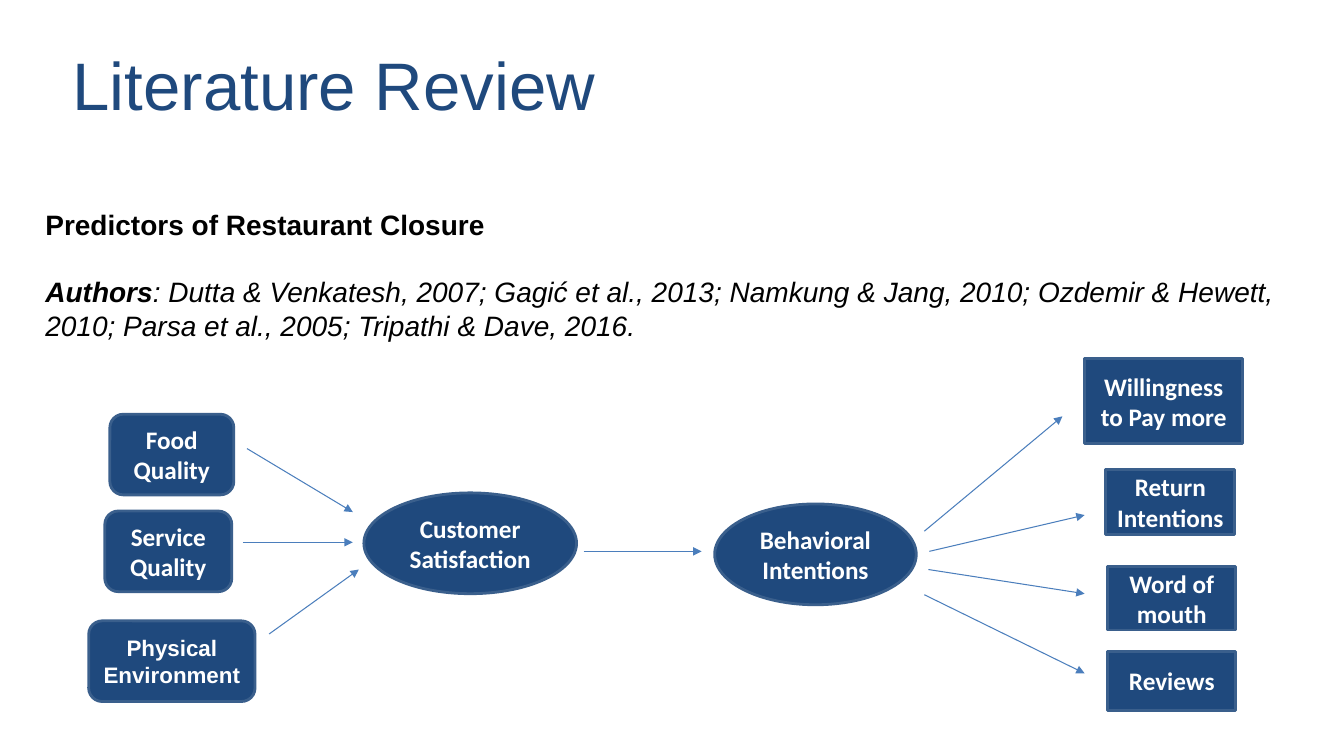
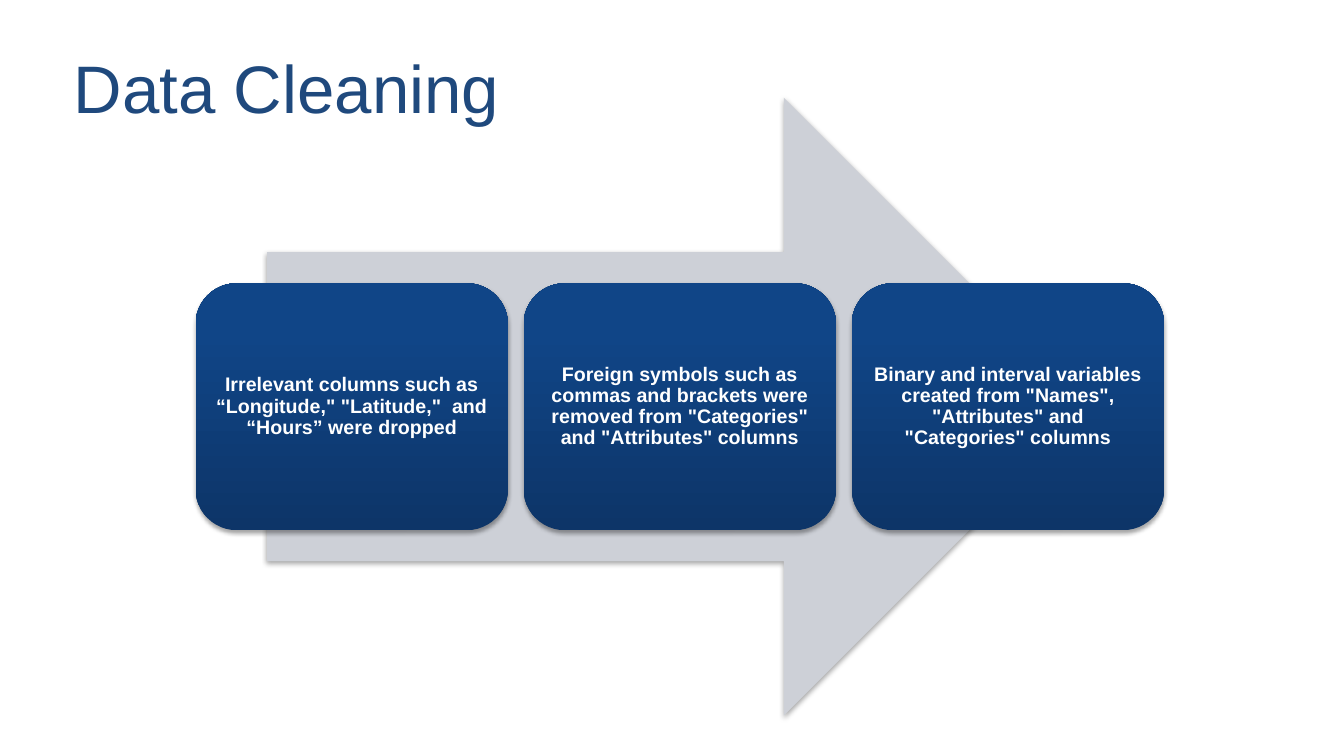
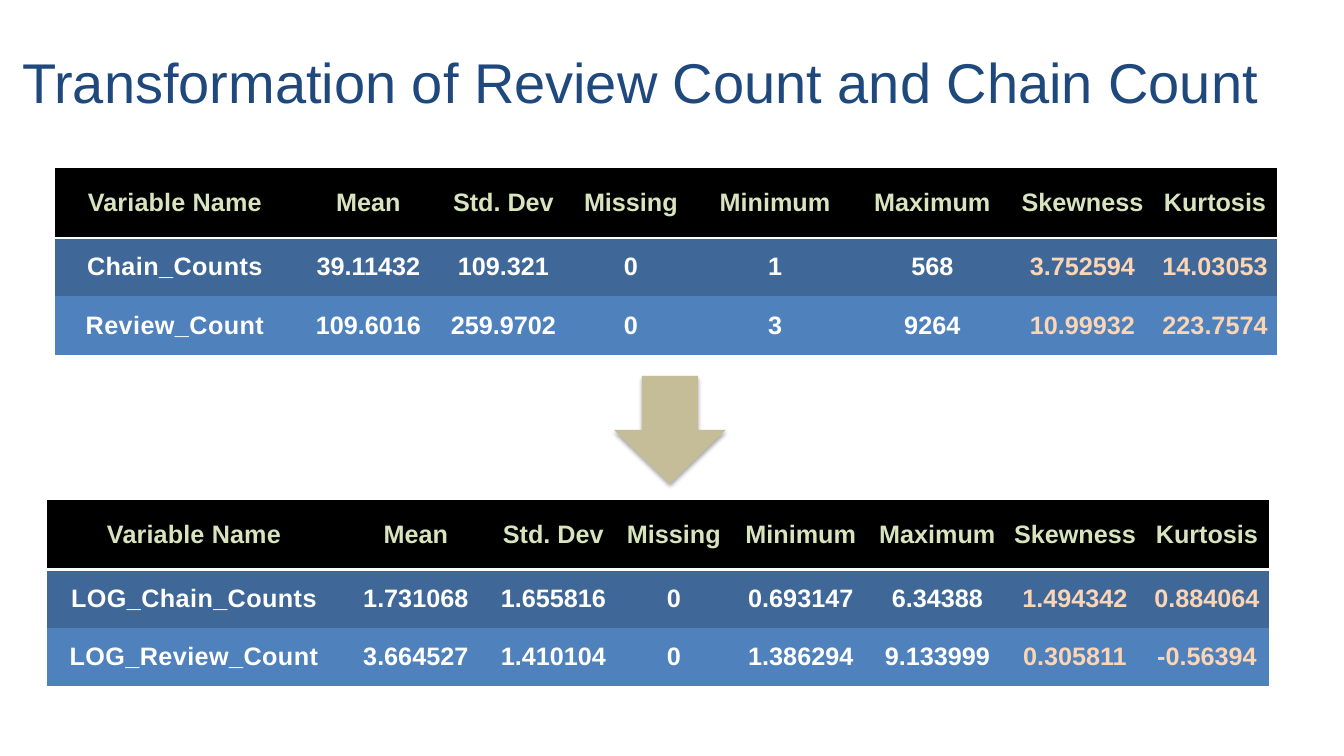
from lxml import etree
from pptx import Presentation
from pptx import util as u
from pptx.dml.color import RGBColor
from pptx.enum import shapes, text
from pptx.oxml import parse_xml
from pptx.oxml.ns import nsdecls, qn

NAVY = RGBColor(0x1F, 0x49, 0x7D)
NAVY_EDGE = RGBColor(0x3A, 0x5F, 0x8C)
ARROW_BLUE = RGBColor(0x4B, 0x7E, 0xBC)
STEP_DARK = RGBColor(0x0D, 0x35, 0x68)
STEP_LIGHT = RGBColor(0x10, 0x45, 0x87)
PALE_GREY = RGBColor(0xCD, 0xD0, 0xD7)
TAN = RGBColor(0xC4, 0xBD, 0x97)
PALE_GREEN = RGBColor(0xD7, 0xE4, 0xBD)
PEACH = RGBColor(0xFC, 0xD5, 0xB5)
ROW_BLUES = (RGBColor(0x3F, 0x67, 0x97), RGBColor(0x4F, 0x81, 0xBD))
WHITE = RGBColor(0xFF, 0xFF, 0xFF)
BLACK = RGBColor(0, 0, 0)

PLAIN_TABLE = "{2D5ABB26-0587-4C30-8999-92F81FD0307C}"
CENTER = text.PP_ALIGN.CENTER
MIDDLE = text.MSO_ANCHOR.MIDDLE
SHAPE = shapes.MSO_SHAPE

HEADINGS = ("Variable Name", "Mean", "Std. Dev", "Missing",
            "Minimum", "Maximum", "Skewness", "Kurtosis")
SKEWNESS_COLUMN = HEADINGS.index("Skewness")


def grid(cells):
    """Length of a number of grid cells, each a tenth of an inch."""
    return u.Inches(cells / 10)


def apply_format(target, values):
    for name, value in values.items():
        setattr(target, name, value)


def margins(side, top=None):
    top = side if top is None else top
    return {"margin_left": grid(side), "margin_right": grid(side),
            "margin_top": grid(top), "margin_bottom": grid(side)}


class Deck:
    """Shared style and the slide being built; boxes are in grid cells."""

    title_format = {"name": "Arial", "size": u.Pt(48)}
    body_format = {"name": "Arial", "size": u.Pt(20)}
    node_format = {"name": "Calibri", "size": u.Pt(18), "bold": True}
    step_format = {"name": "Arial", "size": u.Pt(14), "bold": True}
    cell_format = {"name": "Arial", "size": u.Pt(18), "bold": True}

    def __init__(self):
        self.presentation = Presentation()
        apply_format(self.presentation, {"slide_width": grid(133.33),
                                         "slide_height": grid(75)})
        self.slide = None

    def add_words(self, paragraph, words, font, color, **changes):
        run = paragraph.add_run()
        run.text = words
        apply_format(run.font, {**font, **changes})
        run.font.color.rgb = color
        return run

    def text_box(self, box, top_margin):
        frame = self.slide.shapes.add_textbox(*map(grid, box)).text_frame
        apply_format(frame, {"word_wrap": True, **margins(0, top_margin)})
        return frame

    def new_slide(self, title, box, **changes):
        layout = self.presentation.slide_layouts[6]
        self.slide = self.presentation.slides.add_slide(layout)
        paragraph = self.text_box(box, 0.6).paragraphs[0]
        self.add_words(paragraph, title, self.title_format, NAVY, **changes)

    def body(self, box, paragraphs):
        """Paragraphs are lists of (words, font changes)."""
        frame = self.text_box(box, 3.3)
        for index, runs in enumerate(paragraphs):
            paragraph = frame.add_paragraph() if index else frame.paragraphs[0]
            apply_format(paragraph, {"line_spacing": u.Pt(24),
                                     "space_before": u.Pt(24 if index else 0)})
            for words, changes in runs:
                self.add_words(paragraph, words, self.body_format, BLACK,
                               **changes)

    def shape(self, kind, box, fill=None):
        shape = self.slide.shapes.add_shape(kind, *map(grid, box))
        shape.shadow.inherit = False
        shape.line.fill.background()
        if fill is not None:
            shape.fill.solid()
            shape.fill.fore_color.rgb = fill
        return shape

    def label(self, shape, words, font, **changes):
        apply_format(shape.text_frame, {"word_wrap": True,
                                        "vertical_anchor": MIDDLE})
        paragraph = shape.text_frame.paragraphs[0]
        paragraph.alignment = CENTER
        self.add_words(paragraph, words, font, WHITE, **changes)
        return paragraph

    def node(self, kind, box, words, **changes):
        shape = self.shape(kind, box, NAVY)
        shape.line.color.rgb = NAVY_EDGE
        shape.line.width = u.Pt(2)
        self.label(shape, words, self.node_format, **changes)

    def arrow(self, *ends):
        connector = self.slide.shapes.add_connector(
            shapes.MSO_CONNECTOR.STRAIGHT, *map(grid, ends))
        connector.line.color.rgb = ARROW_BLUE
        connector.line.width = u.Pt(0.75)
        properties = connector._element.spPr
        etree.SubElement(properties.find(qn("a:ln")), qn("a:tailEnd"),
                         type="triangle")
        etree.SubElement(properties, qn("a:effectLst"))

    def drop_shadow(self, shape):
        effects = shape._element.spPr.find(qn("a:effectLst"))
        effects.append(parse_xml(
            f'<a:outerShdw {nsdecls("a")} blurRad="{u.Pt(3.1)}" '
            f'dist="{u.Pt(1.8)}" dir="5400000" rotWithShape="0">'
            '<a:srgbClr val="000000"><a:alpha val="35000"/></a:srgbClr>'
            '</a:outerShdw>'))

    def block_arrow(self, kind, box, fill):
        self.drop_shadow(self.shape(kind, box, fill))

    def step(self, box, words):
        shape = self.shape(SHAPE.ROUNDED_RECTANGLE, box)
        shape.fill.gradient()
        shape.fill.gradient_angle = 90
        stops = zip(shape.fill.gradient_stops, (0, 0.8), (STEP_DARK, STEP_LIGHT))
        for stop, position, color in stops:
            stop.position = position
            stop.color.rgb = color
        self.drop_shadow(shape)
        apply_format(shape.text_frame, margins(0.6))
        self.label(shape, words, self.step_format).line_spacing = 0.9

    def table(self, left, top, widths, records):
        rows = (HEADINGS, *records)
        heights = (6.9, 5.8, 5.8)
        box = (left, top, sum(widths), sum(heights))
        table = self.slide.shapes.add_table(
            len(rows), len(widths), *map(grid, box)).table
        apply_format(table, {"first_row": False, "horz_banding": False})
        table._tbl.tblPr[0].text = PLAIN_TABLE
        for column, width in zip(table.columns, widths):
            column.width = grid(width)
        for row, height in zip(table.rows, heights):
            row.height = grid(height)
        for row, values in enumerate(rows):
            for column, value in enumerate(values):
                self.cell(table.cell(row, column), row, column, value)

    def cell(self, cell, row, column, value):
        apply_format(cell, {"vertical_anchor": MIDDLE, **margins(0)})
        cell.fill.solid()
        cell.fill.fore_color.rgb = ROW_BLUES[row - 1] if row else BLACK
        color = PEACH if column >= SKEWNESS_COLUMN else WHITE
        paragraph = cell.text_frame.paragraphs[0]
        paragraph.alignment = CENTER
        run = self.add_words(paragraph, value, self.cell_format,
                             color if row else PALE_GREEN)
        if column == 0:
            run._r.get_or_add_rPr().set("spc", "30" if row else "10")
        if row == 0:
            cell._tc.get_or_add_tcPr().insert(0, parse_xml(
                f'<a:lnB {nsdecls("a")} w="{u.Pt(2)}"><a:solidFill>'
                f'<a:srgbClr val="{WHITE}"/></a:solidFill></a:lnB>'))


def literature_review(deck):
    deck.new_slide("Literature Review", (7.2, 3.7, 75.4, 12.4))
    deck.body((4.5, 17.3, 126, 54.5), (
        [("Predictors of Restaurant Closure", {"bold": True})],
        [("Authors", {"bold": True, "italic": True}),
         (": Dutta & Venkatesh, 2007; Gagić et al., 2013; Namkung & Jang, 2010; "
          "Ozdemir & Hewett, 2010; Parsa et al., 2005; Tripathi & Dave, 2016.",
          {"italic": True})]))

    rounded, oval, box = SHAPE.ROUNDED_RECTANGLE, SHAPE.OVAL, SHAPE.RECTANGLE
    deck.node(rounded, (10.9, 41.1, 12.3, 8), "Food Quality")
    deck.node(rounded, (10.4, 50.7, 12.6, 8), "Service Quality")
    deck.node(rounded, (8.8, 61.6, 16.5, 8), "Physical Environment",
              name="Arial", size=u.Pt(16))
    deck.node(oval, (36.1, 48.9, 21.1, 10), "Customer Satisfaction")
    deck.node(oval, (70.9, 50, 20, 10), "Behavioral Intentions")
    deck.node(box, (107.6, 35.6, 15.7, 8.4), "Willingness to Pay more")
    deck.node(box, (109.7, 46.6, 12.8, 6.4), "Return Intentions")
    deck.node(box, (109.9, 56.2, 12.7, 6.3), "Word of mouth")
    deck.node(box, (109.9, 64.6, 12.7, 5.9), "Reviews")

    for ends in ((24.5, 44.5, 35, 50.8), (24.1, 53.8, 35, 53.8),
                 (26.7, 62.9, 35.6, 56.5), (57.9, 54.7, 69.6, 54.7),
                 (91.7, 52.7, 105.4, 41.3), (92.2, 54.7, 107.6, 51.1),
                 (92.1, 56.5, 107.6, 58.9), (91.7, 59, 107.6, 66.8)):
        deck.arrow(*ends)


def data_cleaning(deck):
    deck.new_slide("Data Cleaning", (7.3, 4, 111, 8.3))
    deck.block_arrow(SHAPE.RIGHT_ARROW, (26.5, 9.7, 81.9, 61.3), PALE_GREY)
    steps = (
        "Irrelevant columns such as “Longitude,\" \"Latitude,\"  and "
        "“Hours” were dropped",
        "Foreign symbols such as commas and brackets were removed from "
        "\"Categories\" and \"Attributes\" columns",
        "Binary and interval variables created from \"Names\", "
        "\"Attributes\" and \"Categories\" columns")
    for index, words in enumerate(steps):
        deck.step((19.4 + 32.55 * index, 28.1, 31, 24.5), words)


def transformation(deck):
    deck.new_slide("Transformation of Review Count and Chain Count",
                   (2.2, 4.1, 130, 6.7), size=u.Pt(40))
    deck.table(5.5, 16.7, (23.7, 14.7, 12.1, 13.2, 15.4, 15.8, 14, 12.3), (
        ("Chain_Counts", "39.11432", "109.321", "0", "1", "568",
         "3.752594", "14.03053"),
        ("Review_Count", "109.6016", "259.9702", "0", "3", "9264",
         "10.99932", "223.7574")))
    deck.table(4.7, 49.6, (29.1, 14.9, 12.4, 11.5, 13.7, 13.4, 13.9, 12.3), (
        ("LOG_Chain_Counts", "1.731068", "1.655816", "0", "0.693147",
         "6.34388", "1.494342", "0.884064"),
        ("LOG_Review_Count", "3.664527", "1.410104", "0", "1.386294",
         "9.133999", "0.305811", "-0.56394")))
    deck.block_arrow(SHAPE.DOWN_ARROW, (60.9, 37.3, 11.1, 10.7), TAN)


def main():
    deck = Deck()
    literature_review(deck)
    data_cleaning(deck)
    transformation(deck)
    deck.presentation.save("out.pptx")


if __name__ == "__main__":
    main()
